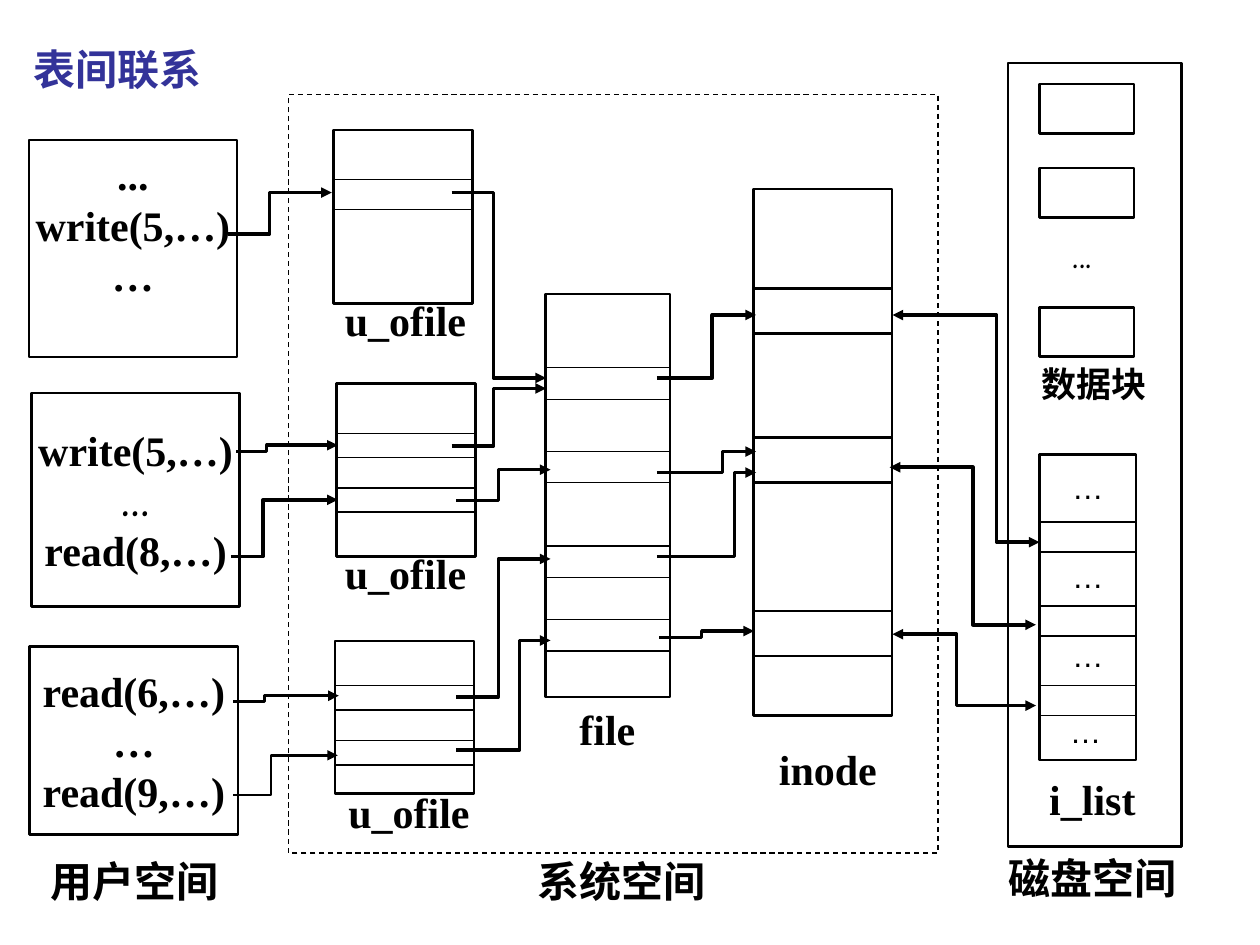
import pptx
import pptx.dml.color
import pptx.enum.dml
import pptx.enum.shapes
import pptx.enum.text
import pptx.oxml.ns
import pptx.util
from dataclasses import dataclass
from lxml import etree

Pt = pptx.util.Pt
ALIGN = pptx.enum.text.PP_ALIGN
ANCHOR = pptx.enum.text.MSO_ANCHOR
AUTO = pptx.enum.text.MSO_AUTO_SIZE


@dataclass(frozen=True)
class Theme:
    ink: str = "000000"
    paper: str = "FFFFFF"
    title: str = "333399"
    serif: str = "Times New Roman"
    comic: str = "Comic Neue"
    sans: str = "Arial"
    label: float = 24
    block: float = 20
    dots: float = 18
    thin: float = 0.75
    frame: float = 1.5
    arrow: float = 2


def apply(target, values):
    for name, value in values.items():
        setattr(target, name, value)


def rgb(code):
    return pptx.dml.color.RGBColor.from_string(code)


class Diagram:
    def __init__(self, slide, theme):
        self.slide = slide
        self.theme = theme

    def stroke(self, line, weight):
        line.color.rgb = rgb(self.theme.ink)
        line.width = Pt(weight)

    def box(self, left, top, width, height, dashed=False):
        shape = self.slide.shapes.add_shape(
            pptx.enum.shapes.MSO_SHAPE.RECTANGLE,
            Pt(left), Pt(top), Pt(width), Pt(height))
        shape.shadow.inherit = False
        shape.fill.solid()
        shape.fill.fore_color.rgb = rgb(self.theme.paper)
        self.stroke(shape.line, self.theme.thin if dashed else self.theme.frame)
        if dashed:
            shape.line.dash_style = pptx.enum.dml.MSO_LINE.DASH
        return shape

    def set_lines(self, frame, lines, align, size, bold=True, color=None):
        """Each line is a pair of text and font name."""
        for number, (words, font_name) in enumerate(lines):
            paragraph = frame.add_paragraph() if number else frame.paragraphs[0]
            paragraph.alignment = align
            run = paragraph.add_run()
            run.text = words
            apply(run.font, {"name": font_name, "size": Pt(size), "bold": bold})
            run.font.color.rgb = rgb(color or self.theme.ink)

    def calls(self, left, top, width, height, lines, space_below=0):
        frame = self.box(left, top, width, height).text_frame
        apply(frame, {"word_wrap": False, "vertical_anchor": ANCHOR.MIDDLE,
                      "margin_bottom": Pt(3.6 + space_below)})
        self.set_lines(frame, lines, ALIGN.CENTER, self.theme.label)

    def label(self, words, left, top, width, height=36, size=None, font_name=None,
              align=ALIGN.LEFT, **look):
        caption = self.slide.shapes.add_textbox(
            Pt(left), Pt(top), Pt(width), Pt(height))
        apply(caption.text_frame, {"word_wrap": True,
                                   "auto_size": AUTO.SHAPE_TO_FIT_TEXT})
        self.set_lines(caption.text_frame, [(words, font_name or self.theme.serif)],
                       align, size or self.theme.label, **look)

    def rule(self, left, right, y, weight):
        line = self.slide.shapes.add_connector(
            pptx.enum.shapes.MSO_CONNECTOR.STRAIGHT,
            Pt(left), Pt(y), Pt(right), Pt(y))
        self.stroke(line.line, weight)
        etree.SubElement(line._element.spPr, pptx.oxml.ns.qn("a:effectLst"))

    def table(self, left, top, width, height, entries, entry_height, weight=None):
        """A tall box with each entry ruled off above and below."""
        self.box(left, top, width, height)
        for entry in entries:
            for y in (entry, entry + entry_height):
                self.rule(left, left + width, y, weight or self.theme.thin)

    def elbow(self, start_x, start_y, bend_x, end_x, end_y, both=False, weight=None):
        builder = self.slide.shapes.build_freeform(Pt(start_x), Pt(start_y))
        builder.add_line_segments(
            [(Pt(bend_x), Pt(start_y)), (Pt(bend_x), Pt(end_y)),
             (Pt(end_x), Pt(end_y))], close=False)
        arrow = builder.convert_to_shape()
        arrow.shadow.inherit = False
        arrow.fill.background()
        self.stroke(arrow.line, weight or self.theme.arrow)
        outline = arrow.line._get_or_add_ln()
        for end in ("a:headEnd", "a:tailEnd") if both else ("a:tailEnd",):
            etree.SubElement(outline, pptx.oxml.ns.qn(end), type="triangle")


def main():
    theme = Theme()
    deck = pptx.Presentation()
    apply(deck, {"slide_width": Pt(720), "slide_height": Pt(540)})
    diagram = Diagram(deck.slides.add_slide(deck.slide_layouts[6]), theme)

    # The system space and the disk space
    diagram.box(165, 54, 371, 433.5, dashed=True)
    diagram.box(576, 36, 99.2, 447.8)
    diagram.label("表间联系", 12.2, 21.6, 138, color=theme.title)

    # System calls of the three processes
    serif, comic = theme.serif, theme.comic
    diagram.calls(16.5, 80, 119, 124,
                  [("...", serif), ("write(5,…)", serif), ("…", serif)],
                  space_below=27.6)
    diagram.calls(18, 224.5, 119, 122,
                  [("write(5,…)", serif), ("…", comic), ("read(8,…)", serif)])
    diagram.calls(17, 369.5, 119, 107.5,
                  [("read(6,…)", serif), ("…", serif), ("read(9,…)", serif)])

    # Tables: left, top, width, height, entry tops, entry height
    diagram.table(190.6, 74.2, 79.4, 99.4, [102.4], 17.2)
    diagram.table(192.2, 219, 79.4, 99.2, [247.6, 278.8], 13.8)
    diagram.table(191.4, 366.4, 79.4, 87.2, [391.8, 423.2], 14)
    diagram.table(311.8, 168, 71, 230.2, [210.2, 257.9, 312, 354.1], 18)
    diagram.table(430.4, 108, 79.4, 301, [165, 250, 349.2], 25.6, theme.frame)
    diagram.table(594, 259.8, 55.2, 174.6, [298.3, 346.3, 391.7], 17.2)

    # Data blocks
    for block_top in (48, 96, 175.6):
        diagram.box(594, block_top, 54, 28.2)
    diagram.label("...", 606, 126, 36, font_name=comic, bold=False)
    diagram.label("数据块", 588, 203.8, 90, 31.5, size=theme.block)

    # Names of tables and spaces
    for words, left, top, width in (
            ("u_ofile", 190, 165, 91), ("u_ofile", 190, 309.6, 85),
            ("u_ofile", 192, 445.8, 85), ("file", 324, 398.2, 60),
            ("inode", 438, 421.4, 78), ("i_list", 592.5, 438.5, 72),
            ("用户空间", 21.6, 485.3, 120), ("系统空间", 300, 485.3, 126),
            ("磁盘空间", 569.5, 483.8, 114)):
        diagram.label(words, left, top, width)

    # Gaps between the i_list entries
    for left, top in ((598.3, 264.2), (598.3, 314.6), (598.3, 360), (597, 403.4)):
        diagram.label("…", left, top, 46.8, 28.8, size=theme.dots,
                      font_name=theme.sans, align=ALIGN.CENTER, bold=False)

    # Links: start x, start y, bend x, end x, end y
    calls_to_u_ofile = [
        (130.3, 133.6, 154, 189.6, 110), (135, 258, 152.4, 193, 254.4),
        (132, 318, 150.3, 193, 285.6), (133.4, 401, 151.2, 193.6, 397.6)]
    u_ofile_to_file = [
        (258, 110, 282, 312, 216), (258, 255, 282, 312, 222),
        (260.6, 286, 284.8, 314.6, 268.4), (260.6, 398.2, 284.8, 314.6, 319.4),
        (260.6, 428.6, 296.8, 314.6, 366)]
    file_to_inode = [
        (375.4, 216, 407, 432, 180), (375.4, 270, 413, 432, 258),
        (375.4, 318, 419.6, 432, 270), (376.8, 364.2, 401, 430.8, 360.6)]
    for link in calls_to_u_ofile + u_ofile_to_file + file_to_inode:
        diagram.elbow(*link)
    diagram.elbow(133.4, 454.2, 154.8, 193, 431.6, weight=theme.frame)
    for inode_to_list in ((510, 180, 569.4, 594, 309.8),
                          (508.4, 267, 556, 592, 357),
                          (510, 362.4, 546.6, 592, 403.2)):
        diagram.elbow(*inode_to_list, both=True)

    deck.save("out.pptx")


if __name__ == "__main__":
    main()
